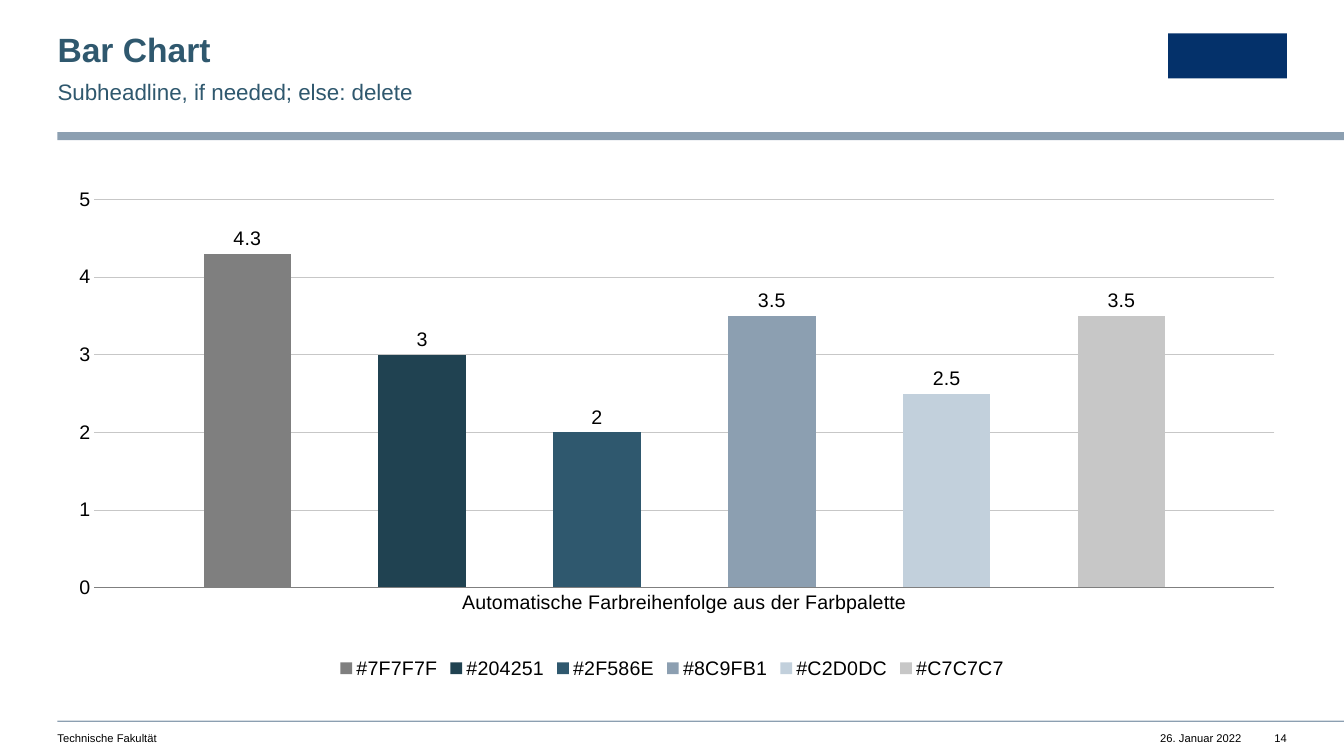
from lxml import etree
from pptx import Presentation
from pptx import util as u
from pptx.chart.data import CategoryChartData
from pptx.dml.color import RGBColor
from pptx.enum import chart as ch, shapes, text
from pptx.oxml import parse_xml
from pptx.oxml.ns import nsdecls, qn

COLORS = {"black": "000000", "title": "2F586E", "rule": "8C9FB1",
          "logo": "04316A", "axis": "7F7F7F", "grid": "C7C7C7"}
BARS = {"7F7F7F": 4.3, "204251": 3, "2F586E": 2,
        "8C9FB1": 3.5, "C2D0DC": 2.5, "C7C7C7": 3.5}
CATEGORY = "Automatische Farbreihenfolge aus der Farbpalette"
PLOT = {"x": 0.03, "y": 0.04, "w": 0.96, "h": 0.77}
LEFT, RIGHT, WIDTH = 1.45, 32.43, 33.87
FOOTER_TOP, FOOTER_HEIGHT = 18.44, 0.33


def rgb(name):
    return RGBColor.from_string(COLORS.get(name, name))


class SlideBuilder:
    font = "Arial"

    def __init__(self, prs):
        self.s = prs.slides.add_slide(prs.slide_layouts[1])

    def style(self, font, size, color="black", bold=False):
        font.name, font.size, font.bold = self.font, u.Pt(size), bold
        font.color.rgb = rgb(color)

    def set_text(self, sp, words, size, color="black", bold=False,
                 align="LEFT", wrap=True):
        tf = sp.text_frame
        tf.text = words
        tf.margin_left = tf.margin_right = tf.margin_top = tf.margin_bottom = 0
        tf.word_wrap = wrap
        tf.auto_size = text.MSO_AUTO_SIZE.NONE
        tf.vertical_anchor = text.MSO_ANCHOR.TOP
        p = tf.paragraphs[0]
        p.alignment = text.PP_ALIGN[align]
        self.style(p.runs[0].font, size, color, bold)
        return p

    def placeholder(self, idx, words, top, height, size, spacing, bold=False):
        sp = self.s.placeholders[idx]
        sp.left, sp.top = u.Cm(LEFT), u.Cm(top)
        sp.width, sp.height = u.Cm(19.02), u.Cm(height)
        p = self.set_text(sp, words, size, "title", bold)
        p.line_spacing = spacing
        p.space_before = u.Pt(0)
        pPr = p._p.get_or_add_pPr()
        pPr.set("marL", "0")
        pPr.set("indent", "0")
        etree.SubElement(pPr, qn("a:buNone"))

    def footer(self, words, left, width, align="LEFT"):
        sp = self.s.shapes.add_textbox(u.Cm(left), u.Cm(FOOTER_TOP),
                                       u.Cm(width), u.Cm(FOOTER_HEIGHT))
        self.set_text(sp, words, 8, align=align, wrap=align == "LEFT")

    def rect(self, left, top, width, height, color):
        sp = self.s.shapes.add_shape(shapes.MSO_SHAPE.RECTANGLE, u.Cm(left),
                                     u.Cm(top), u.Cm(width), u.Cm(height))
        sp.shadow.inherit = False
        sp.fill.solid()
        sp.fill.fore_color.rgb = rgb(color)
        sp.line.fill.background()

    def column_chart(self, left, top, width, height):
        data = CategoryChartData()
        data.categories = [CATEGORY]
        for color, value in BARS.items():
            data.add_series("#" + color, [value])
        chart = self.s.shapes.add_chart(
            ch.XL_CHART_TYPE.COLUMN_CLUSTERED, u.Cm(left), u.Cm(top),
            u.Cm(width), u.Cm(height), data).chart
        self.style(chart.font, 14)
        chart.has_title = False
        chart.has_legend = True
        chart.legend.position = ch.XL_LEGEND_POSITION.BOTTOM
        chart.legend.include_in_layout = False
        self.style(chart.legend.font, 14)
        self.format_axes(chart)
        self.format_bars(chart.plots[0])
        self.fix_plot_area(chart)

    def format_axes(self, chart):
        cat, val = chart.category_axis, chart.value_axis
        for axis in (cat, val):
            axis.major_tick_mark = axis.minor_tick_mark = ch.XL_TICK_MARK.NONE
            self.style(axis.tick_labels.font, 14)
        val.minimum_scale, val.maximum_scale, val.major_unit = 0, 5, 1
        val.has_major_gridlines = True
        val.format.line.fill.background()
        for line, color in ((cat.format.line, "axis"),
                            (val.major_gridlines.format.line, "grid")):
            line.color.rgb = rgb(color)
            line.width = u.Pt(0.5)

    def format_bars(self, plot):
        plot.vary_by_categories = False
        plot.gap_width, plot.overlap = 250, -100
        for series, color in zip(plot.series, BARS):
            series.format.fill.solid()
            series.format.fill.fore_color.rgb = rgb(color)
            labels = series.data_labels
            labels.show_value = True
            labels.position = ch.XL_LABEL_POSITION.OUTSIDE_END
            self.style(labels.font, 14)

    def fix_plot_area(self, chart):
        """Pin the inner plot area to fractions of the chart frame."""
        area = chart._chartSpace.chart.plotArea
        for old in area.findall(qn("c:layout")):
            area.remove(old)
        modes = "".join(f'<c:{k}Mode val="edge"/>' for k in "xy")
        sizes = "".join(f'<c:{k} val="{v}"/>' for k, v in PLOT.items())
        area.insert(0, parse_xml(
            f'<c:layout {nsdecls("c")}><c:manualLayout>'
            f'<c:layoutTarget val="inner"/>{modes}{sizes}'
            '</c:manualLayout></c:layout>'))


def main():
    prs = Presentation()
    prs.slide_width, prs.slide_height = u.Cm(WIDTH), u.Cm(19.05)
    b = SlideBuilder(prs)
    b.placeholder(0, "Bar Chart", 0.84, 0.91, 24, 0.9, bold=True)
    b.placeholder(1, "Subheadline, if needed; else: delete", 1.9, 0.69, 16, 1.1)
    for top, height in ((3.33, 0.2), (18.16, 0.03)):
        b.rect(LEFT, top, WIDTH - LEFT, height, "rule")
    b.rect(29.44, 0.84, 2.99, 1.14, "logo")
    b.column_chart(LEFT, 4.52, RIGHT - LEFT, 12.7)
    b.footer("Technische Fakultät", LEFT, 15.19)
    b.footer("26. Januar 2022", 28.93, 2.36, "RIGHT")
    b.footer("14", 31.9, 0.53, "RIGHT")
    prs.save("out.pptx")


if __name__ == "__main__":
    main()
